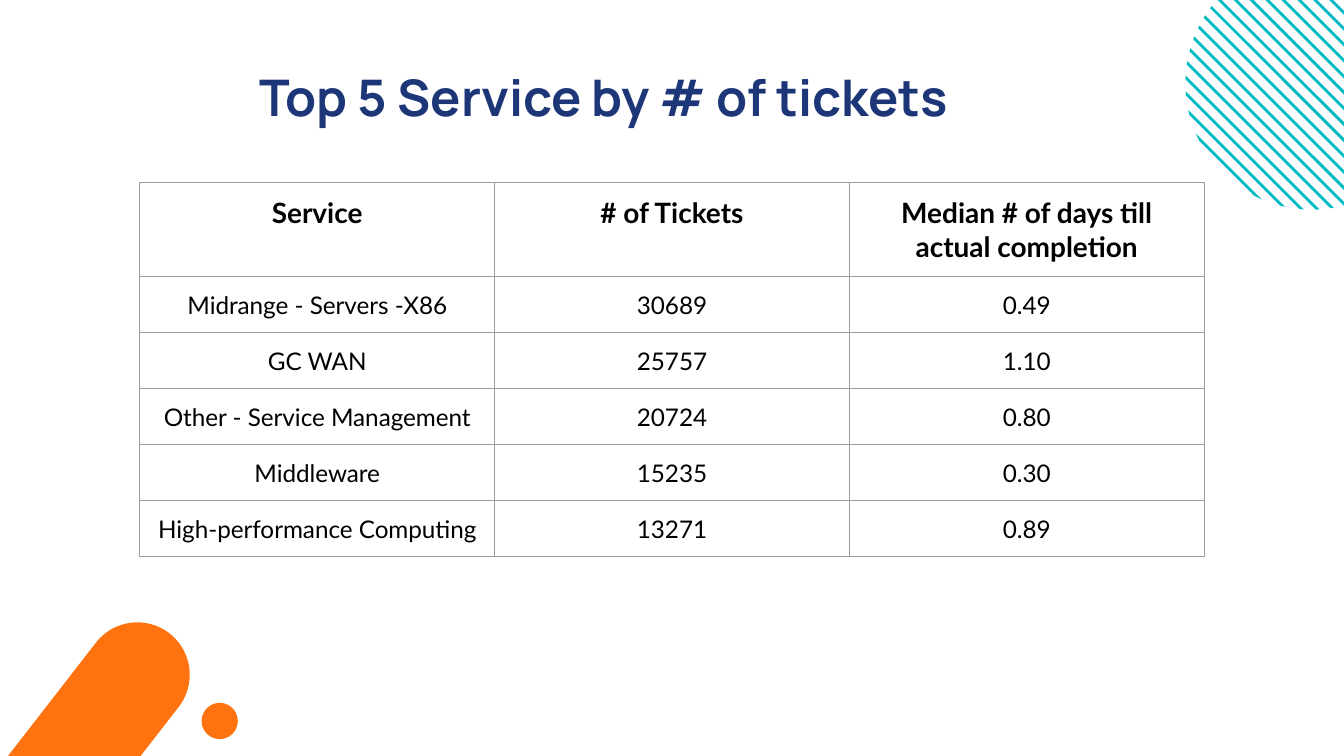
from math import sqrt

from lxml.etree import SubElement
from pptx import Presentation
from pptx.dml.color import RGBColor
from pptx.enum.shapes import MSO_SHAPE
from pptx.enum.text import MSO_ANCHOR, PP_ALIGN
from pptx.oxml.ns import qn
from pptx.util import Inches, Pt

COLORS = {
    "navy": "1C3678",
    "teal": "00BBC1",
    "orange": "FF7210",
    "black": "000000",
    "border": "9E9E9E",
}

HEADERS = ["Service", "# of Tickets", "Median # of days till actual completion"]
SERVICES = [
    ["Midrange - Servers -X86", "30689", "0.49"],
    ["GC WAN", "25757", "1.10"],
    ["Other - Service Management", "20724", "0.80"],
    ["Middleware", "15235", "0.30"],
    ["High-performance Computing", "13271", "0.89"],
]


def color(name):
    return RGBColor.from_string(COLORS[name])


def write_text(frame, text, font="Lato", size=13, bold=False, ink="black",
               align=PP_ALIGN.CENTER, spacing=None):
    frame.word_wrap = True
    paragraph = frame.paragraphs[0]
    paragraph.alignment = align
    paragraph.line_spacing = spacing
    run = paragraph.add_run()
    run.text = text
    run.font.name = font
    run.font.size = Pt(size)
    run.font.bold = bold
    run.font.color.rgb = color(ink)


def set_margins(target, side, bottom):
    target.margin_left = target.margin_right = target.margin_top = Inches(side)
    target.margin_bottom = Inches(bottom)


def paint(shape, name):
    shape.shadow.inherit = False
    shape.fill.solid()
    shape.fill.fore_color.rgb = color(name)
    shape.line.fill.background()


def add_striped_circle(slide, left, top, diameter, count=21, span=2.37, thickness=0.03):
    radius = diameter / 2
    center_x, center_y = left + radius, top + radius

    def chord(offset):
        half = sqrt(radius ** 2 - offset ** 2 / 2) / sqrt(2)
        middle_x, middle_y = center_x + offset / 2, center_y - offset / 2
        return [(Inches(middle_x + sign * half), Inches(middle_y + sign * half))
                for sign in (-1, 1)]

    for index in range(count):
        offset = 1.12 - index * span / (count - 1)
        upper = chord(offset + thickness / 2)
        lower = chord(offset - thickness / 2)
        builder = slide.shapes.build_freeform(*upper[0])
        builder.add_line_segments([upper[1], lower[1], lower[0]], close=True)
        paint(builder.convert_to_shape(), "teal")


def add_corner_accent(slide, left, top, width, height):
    capsule = slide.shapes.add_shape(
        MSO_SHAPE.ROUNDED_RECTANGLE,
        Inches(left), Inches(top), Inches(width), Inches(height))
    capsule.adjustments[0] = 0.5
    capsule.rotation = 37.8
    paint(capsule, "orange")
    dot = slide.shapes.add_shape(
        MSO_SHAPE.OVAL,
        Inches(left + 2.45), Inches(top + 1.14), Inches(0.27), Inches(0.27))
    paint(dot, "orange")


def add_title(slide, left, top, width, height):
    box = slide.shapes.add_textbox(
        Inches(left), Inches(top), Inches(width), Inches(height))
    set_margins(box.text_frame, 0.1, 0.1)
    write_text(box.text_frame, "Top 5 Service by # of tickets", font="Manrope",
               size=27, bold=True, ink="navy", align=PP_ALIGN.LEFT)


def add_borders(cell):
    properties = cell._tc.get_or_add_tcPr()
    for side in ("lnL", "lnR", "lnT", "lnB"):
        line = SubElement(properties, qn(f"a:{side}"), w=str(Pt(0.75)))
        fill = SubElement(line, qn("a:solidFill"))
        SubElement(fill, qn("a:srgbClr"), val=COLORS["border"])


def add_service_table(slide, left, top, width, height):
    rows = [HEADERS] + SERVICES
    table = slide.shapes.add_table(
        len(rows), len(HEADERS),
        Inches(left), Inches(top), Inches(width), Inches(height)).table
    table.first_row = False
    table.horz_banding = False
    for row_index, values in enumerate(rows):
        is_header = row_index == 0
        for column_index, value in enumerate(values):
            cell = table.cell(row_index, column_index)
            add_borders(cell)
            cell.fill.background()
            set_margins(cell, 0.1 if is_header else 0.01, 0.1)
            cell.vertical_anchor = MSO_ANCHOR.TOP if is_header else MSO_ANCHOR.BOTTOM
            is_number = not is_header and column_index > 0
            write_text(cell.text_frame, value, size=15 if is_header else 13,
                       bold=is_header, spacing=1.15 if is_number else None)


def main():
    presentation = Presentation()
    presentation.slide_width = Inches(10)
    presentation.slide_height = Inches(10) * 9 // 16
    slide = presentation.slides.add_slide(presentation.slide_layouts[6])
    add_striped_circle(slide, 8.82, -0.32, 1.88)
    add_corner_accent(slide, -0.95, 4.09, 0.78, 5.94)
    add_title(slide, 1.83, 0.39, 6.82, 0.76)
    add_service_table(slide, 1.04, 1.36, 7.92, 2.5)
    presentation.save("out.pptx")


if __name__ == "__main__":
    main()
